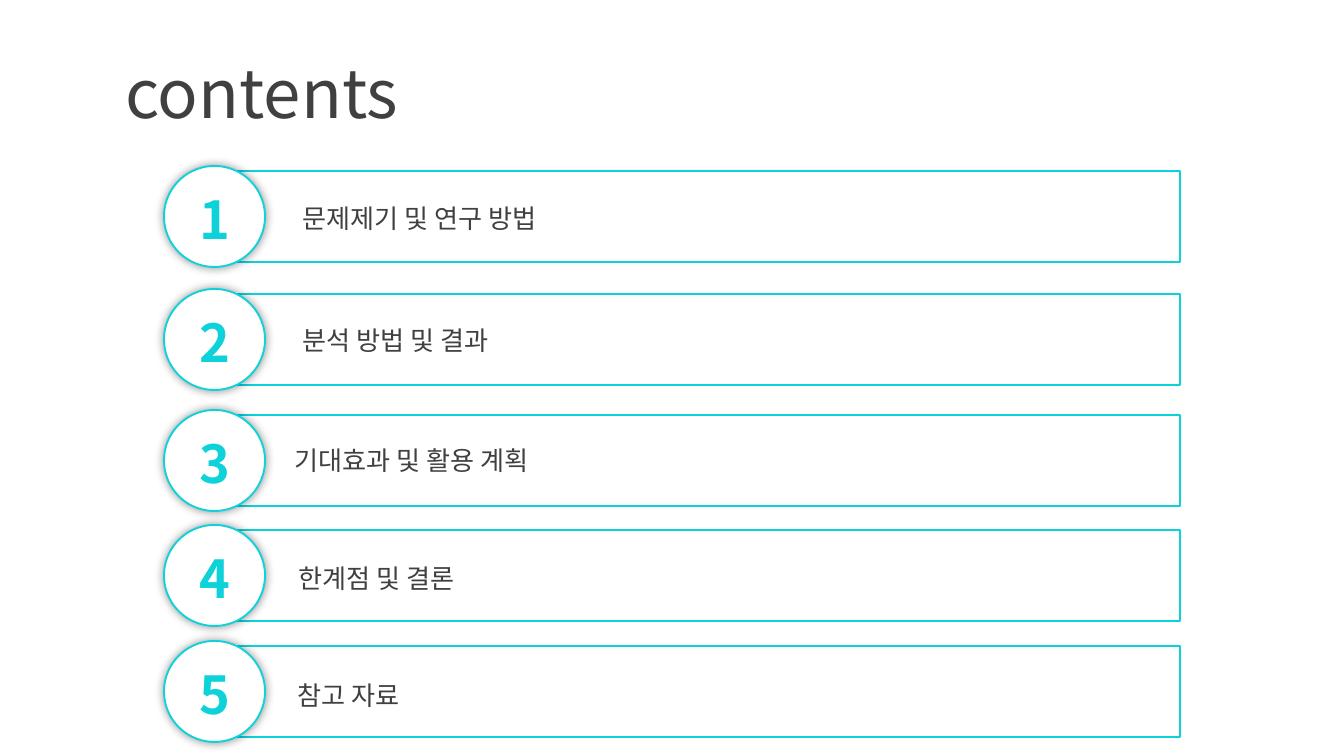
"""Build a contents slide with five numbered sections."""
from lxml import etree
from pptx import Presentation
from pptx.dml.color import RGBColor
from pptx.enum import shapes, text
from pptx.oxml.ns import qn

PX = 914400 / 134.4
FONT = "Noto Sans CJK KR"
COLORS = {"ink": "404040", "accent": "0DD2D9", "paper": "FFFFFF", "shadow": "000000"}
SECTIONS = [
    ("문제제기 및 연구 방법", 171, 289, 195),
    ("분석 방법 및 결과", 294, 289, 317),
    ("기대효과 및 활용 계획", 415, 281, 437),
    ("한계점 및 결론", 530, 285, 555),
    ("참고 자료", 646, 284, 672),
]

prs = Presentation()
prs.slide_width, prs.slide_height = round(1344 * PX), round(756 * PX)
s = prs.slides.add_slide(prs.slide_layouts[6])


def add_outline(kind, *box):
    sp = s.shapes.add_shape(kind, *(round(v * PX) for v in box))
    sp.shadow.inherit = False
    sp.fill.background()
    sp.line.color.rgb = RGBColor.from_string(COLORS["accent"])
    sp.line.width = 12700
    return sp


def add_text(words, box, size, color="ink", bold=False, align=text.PP_ALIGN.LEFT,
             fit=text.MSO_AUTO_SIZE.SHAPE_TO_FIT_TEXT):
    tf = s.shapes.add_textbox(*(round(v * PX) for v in box)).text_frame
    tf.word_wrap = True
    tf.auto_size = fit
    tf.vertical_anchor = text.MSO_ANCHOR.MIDDLE
    p = tf.paragraphs[0]
    p.text = words
    p.alignment = align
    p.font.size = size * 12700
    p.font.bold = bold
    p.font.color.rgb = RGBColor.from_string(COLORS[color])
    p.font.name = FONT
    etree.SubElement(p._p.pPr.find(qn("a:defRPr")), qn("a:ea"), typeface=FONT)


add_text("contents", (112, 50, 1232, 84), 36, fit=text.MSO_AUTO_SIZE.NONE)

for number, (label, top, label_left, label_top) in enumerate(SECTIONS, 1):
    add_outline(shapes.MSO_SHAPE.RECTANGLE, 214, top, 966, 91)
    add_text(label, (label_left, label_top, 844, 46), 14)

    circle = add_outline(shapes.MSO_SHAPE.OVAL, 164, top - 5, 101, 101)
    circle.fill.solid()
    circle.fill.fore_color.rgb = RGBColor.from_string(COLORS["paper"])
    effects = circle._element.spPr.find(qn("a:effectLst"))
    shadow = etree.SubElement(effects, qn("a:outerShdw"), blurRad="63500", dist="0",
                              dir="0", algn="ctr", rotWithShape="0")
    shade = etree.SubElement(shadow, qn("a:srgbClr"), val=COLORS["shadow"])
    etree.SubElement(shade, qn("a:alpha"), val="40000")

    add_text(str(number), (183, top + 9, 63, 77), 28, "accent", True, text.PP_ALIGN.CENTER)

prs.save("out.pptx")
